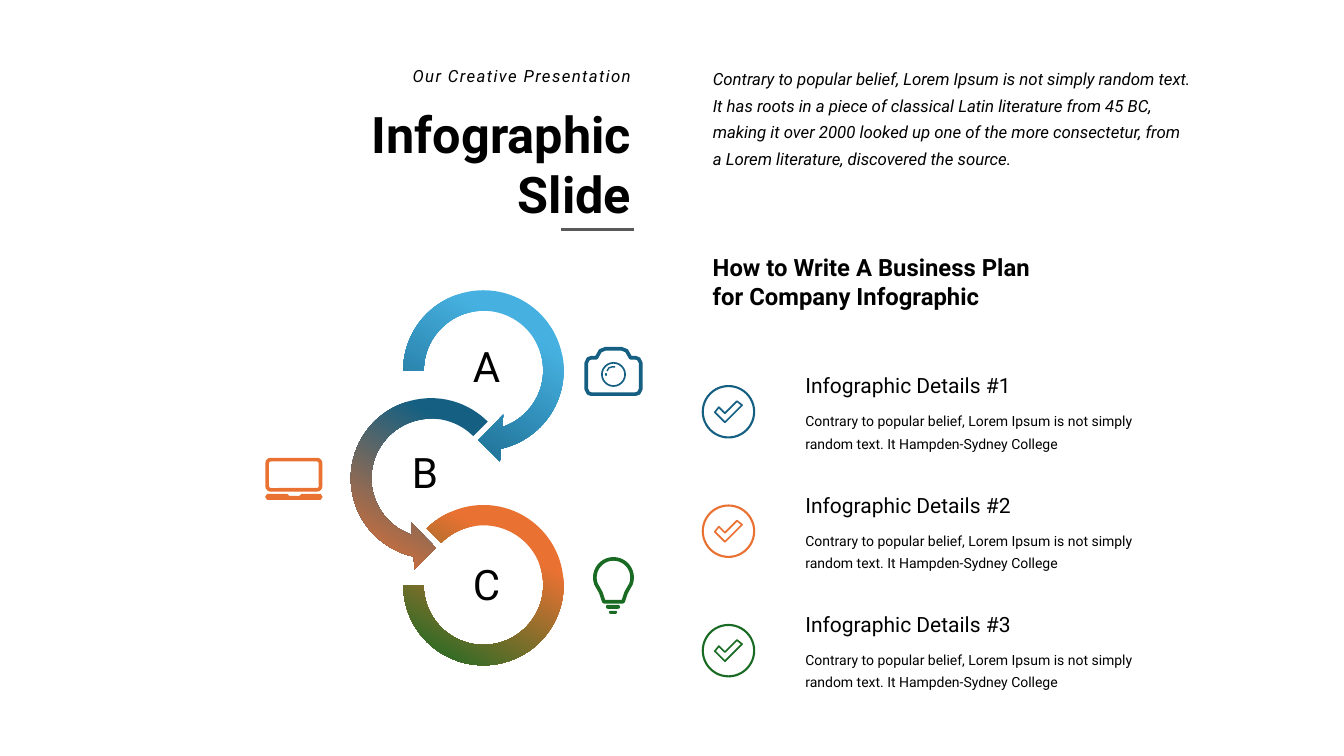
import math
from dataclasses import dataclass

from pptx import Presentation
from pptx import util as u
from pptx.dml import color
from pptx.enum import shapes, text
from pptx.oxml import ns, xmlchemy


@dataclass(frozen=True)
class Theme:
    font: str = "Roboto"
    black: str = "000000"
    rule: str = "595959"
    sky: str = "46B1E1"
    navy: str = "156082"
    orange: str = "E97132"
    green: str = "196B24"
    title: int = 36
    letter: int = 30
    heading: int = 17
    item: int = 15
    intro: int = 12
    detail: int = 10
    icon_line: float = 2.6


T = Theme()
SHAPE = shapes.MSO_SHAPE
LEFT, RIGHT, CENTER = text.PP_ALIGN.LEFT, text.PP_ALIGN.RIGHT, text.PP_ALIGN.CENTER
DETAIL = ("Contrary to popular belief, Lorem Ipsum is not simply "
          "random text. It Hampden-Sydney College")
INTRO = ("Contrary to popular belief, Lorem Ipsum is not simply random text. "
         "It has roots in a piece of classical Latin literature from 45 BC, "
         "making it over 2000 looked up one of the more consectetur, from "
         "a Lorem literature, discovered the source.")


def rgb(value):
    return color.RGBColor.from_string(value)


def place(sp, box):
    sp.left, sp.top, sp.width, sp.height = map(u.Inches, box)


def write(sp, words, size, align=LEFT, bold=False, italic=False, pitch=None, tracking=None):
    tf = sp.text_frame
    tf.text = words
    tf.word_wrap = True
    tf.auto_size = text.MSO_AUTO_SIZE.NONE
    tf.vertical_anchor = text.MSO_ANCHOR.TOP
    p = tf.paragraphs[0]
    p.alignment = align
    p.space_before = u.Pt(0)
    if pitch:
        p.line_spacing = u.Pt(pitch)
    r = p.runs[0]
    r.font.name, r.font.size = T.font, u.Pt(size)
    r.font.bold, r.font.italic = bold, italic
    r.font.color.rgb = rgb(T.black)
    if tracking:
        r._r.get_or_add_rPr().set("spc", str(tracking * 100))


def add_text(s, box, words, size, **style):
    sp = s.shapes.add_textbox(*map(u.Inches, box))
    write(sp, words, size, **style)


def fill_placeholder(sp, box, words, size, **style):
    place(sp, box)
    write(sp, words, size, **style)
    pPr = sp.text_frame.paragraphs[0]._p.get_or_add_pPr()
    pPr.set("marL", "0")
    pPr.set("indent", "0")
    pPr.append(xmlchemy.OxmlElement("a:buNone"))


def paint(sp, tint, width=None):
    sp.shadow.inherit = False
    if width is None:
        sp.fill.solid()
        sp.fill.fore_color.rgb = rgb(tint)
        sp.line.fill.background()
    else:
        sp.fill.background()
        sp.line.color.rgb = rgb(tint)
        sp.line.width = u.Pt(width)
        ln = sp._element.spPr.find(ns.qn("a:ln"))
        ln.append(xmlchemy.OxmlElement("a:round"))


def add_preset(s, kind, box, tint, width=None):
    sp = s.shapes.add_shape(kind, *map(u.Inches, box))
    paint(sp, tint, width)
    return sp


def add_outline(s, points, tint, width=None, close=True):
    first, *rest = [(u.Inches(x), u.Inches(y)) for x, y in points]
    builder = s.shapes.build_freeform(*first)
    builder.add_line_segments(rest, close=close)
    paint(builder.convert_to_shape(), tint, width)


def add_ring(s, kind, box, adjustments, start, end):
    sp = add_preset(s, kind, box, start)
    for i, value in enumerate(adjustments):
        sp.adjustments[i] = value
    sp.fill.gradient()
    sp.fill.gradient_angle = 240
    for stop, tint, position in zip(sp.fill.gradient_stops, (start, end), (0.28, 0.96)):
        stop.color.rgb = rgb(tint)
        stop.position = position


def add_rule(s, x1, x2, y):
    line = s.shapes.add_connector(shapes.MSO_CONNECTOR.STRAIGHT, *map(u.Inches, (x1, y, x2, y)))
    line.line.color.rgb = rgb(T.rule)
    line.line.width = u.Pt(2)
    line._element.spPr.append(xmlchemy.OxmlElement("a:effectLst"))


def add_laptop(s, tint):
    screen = add_preset(s, SHAPE.ROUNDED_RECTANGLE, (2.65, 4.56, 0.53, 0.3), tint, T.icon_line)
    screen.adjustments[0] = 0.12
    add_outline(s, [(2.65, 4.9), (2.85, 4.9), (2.87, 4.92), (2.97, 4.92), (2.99, 4.9),
                    (3.18, 4.9), (3.2, 4.93), (3.18, 4.96), (2.65, 4.96), (2.63, 4.93)], tint)


def add_camera(s, tint):
    half = [(0, 3.46), (0.08, 3.46), (0.13, 3.48), (0.17, 3.55), (0.22, 3.55), (0.25, 3.56),
            (0.27, 3.6), (0.27, 3.86), (0.25, 3.9), (0.22, 3.91)]
    middle = 6.085
    body = [(middle + x, y) for x, y in half] + [(middle - x, y) for x, y in reversed(half[1:])]
    add_outline(s, body, tint, T.icon_line)
    add_preset(s, SHAPE.OVAL, (5.97, 3.6, 0.23, 0.23), tint, 1.2)
    add_outline(s, [(6.02, 3.68), (6.04, 3.65), (6.07, 3.64), (6.1, 3.64)], tint, 1, close=False)
    add_preset(s, SHAPE.OVAL, (6, 3.7, 0.02, 0.03), tint)


def add_bulb(s, tint):
    cx, cy, radius = 6.085, 5.73, 0.185
    angles = [math.radians(a) for a in range(160, 381, 10)]
    glass = [(cx + radius * math.cos(a), cy + radius * math.sin(a)) for a in angles]
    neck = [(6.21, 5.88), (6.18, 5.97), (5.99, 5.97), (5.96, 5.88)]
    add_outline(s, glass + neck, tint, T.icon_line)
    for box in ((6.01, 6, 0.14, 0.04), (6.04, 6.06, 0.08, 0.03)):
        add_preset(s, SHAPE.ROUNDED_RECTANGLE, box, tint).adjustments[0] = 0.5


def add_item(s, number, top, tint):
    left = 6.97
    tick = [(0.12, 0.26), (0.16, 0.21), (0.22, 0.27), (0.34, 0.15), (0.39, 0.19), (0.22, 0.36)]
    add_outline(s, [(left + x, top + 0.18 + y) for x, y in tick], tint, 1.2)
    add_preset(s, SHAPE.OVAL, (left, top + 0.18, 0.51, 0.51), tint, 1.5)
    add_text(s, (7.89, top, 3.04, 0.35), f"Infographic Details #{number}", T.item)
    add_text(s, (7.89, top + 0.34, 3.94, 0.53), DETAIL, T.detail, pitch=16)


def main():
    prs = Presentation()
    prs.slide_width, prs.slide_height = u.Inches(13.33), u.Inches(7.5)
    s = prs.slides.add_slide(prs.slide_layouts[1])

    fill_placeholder(s.shapes.title, (2.63, 0.97, 3.73, 1.31), "Infographic Slide",
                     T.title, align=RIGHT, bold=True)
    fill_placeholder(s.placeholders[1], (6.97, 0.57, 4.95, 1.14), INTRO,
                     T.intro, italic=True, pitch=19)
    add_text(s, (3.37, 0.6, 2.99, 0.3), "Our Creative Presentation",
             T.intro, align=RIGHT, italic=True, tracking=1)
    add_rule(s, 5.56, 6.29, 2.28)

    add_ring(s, SHAPE.CIRCULAR_ARROW, (3.87, 2.75, 1.85, 1.85),
             (0.11, 11.423, 45, 108, 0.125), T.sky, T.navy)
    add_ring(s, SHAPE.LEFT_CIRCULAR_ARROW, (3.35, 3.82, 1.85, 1.85),
             (0.11, 11.423, 63, 189, 0.125), T.navy, T.orange)
    add_ring(s, SHAPE.BLOCK_ARC, (4, 5.01, 1.59, 1.59), (135, 108, 0.127), T.orange, T.green)
    for letter, left, top in (("A", 4.49, 3.33), ("B", 3.88, 4.38), ("C", 4.49, 5.49)):
        add_text(s, (left, top, 0.67, 0.61), letter, T.letter, align=CENTER)

    add_laptop(s, T.orange)
    add_bulb(s, T.green)
    add_camera(s, T.navy)

    add_text(s, (6.97, 2.46, 3.54, 0.67),
             "How to Write A Business Plan for Company Infographic", T.heading, bold=True)
    for i, tint in enumerate((T.navy, T.orange, T.green)):
        add_item(s, i + 1, 3.65 + 1.185 * i, tint)

    prs.save("out.pptx")


if __name__ == "__main__":
    main()
